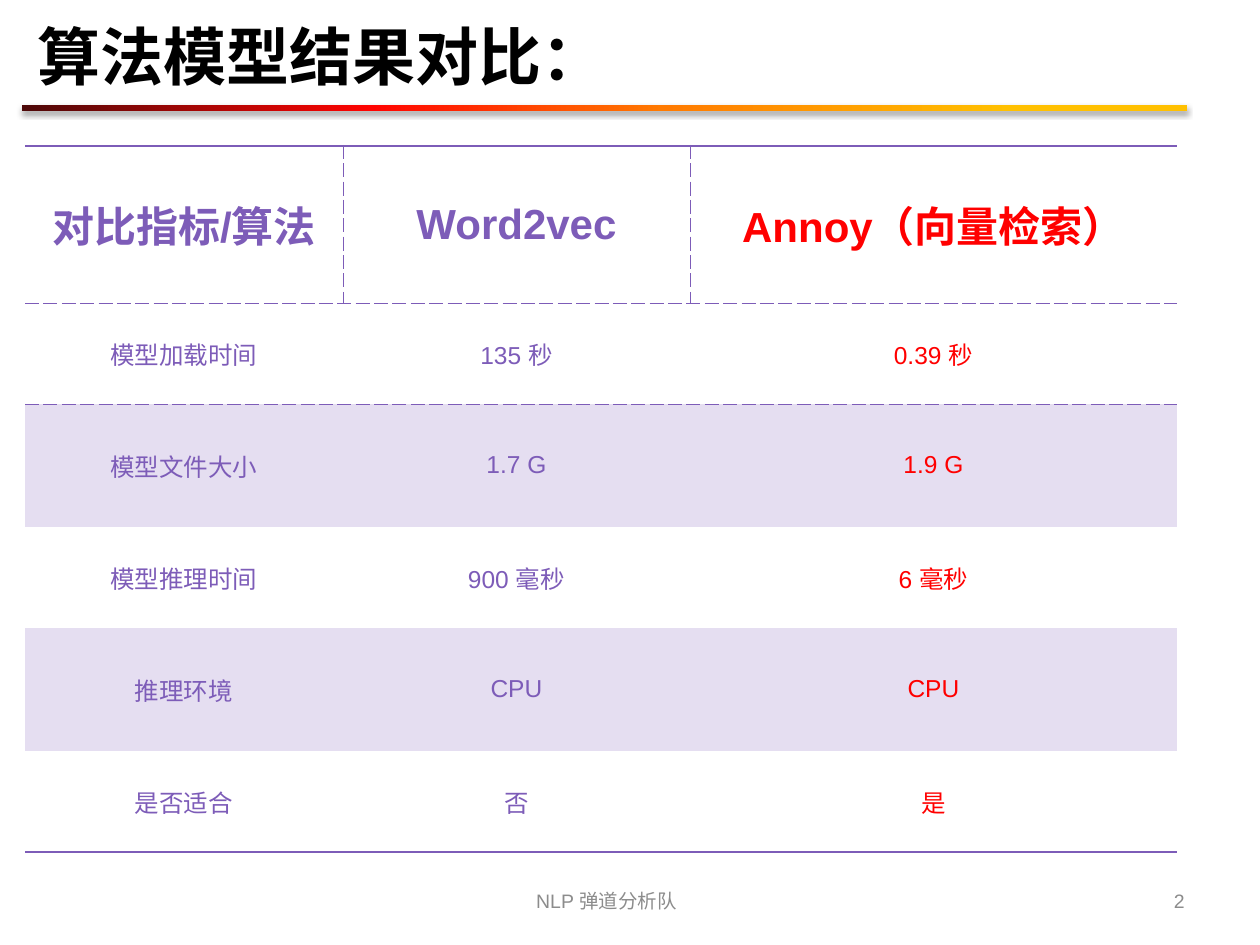
from dataclasses import dataclass

from lxml import etree
from pptx import Presentation
from pptx.dml.color import RGBColor
from pptx.enum.shapes import MSO_SHAPE
from pptx.enum.text import MSO_ANCHOR, PP_ALIGN
from pptx.oxml import parse_xml
from pptx.oxml.ns import nsdecls, qn
from pptx.util import Emu, Pt

EMU_PER_PX = 914400 / 126
PURPLE, RED, BLACK, GREY = "7D5CB8", "FF0000", "000000", "8C8C8C"
WHITE, LILAC = "FFFFFF", "E5DEF1"


@dataclass(frozen=True)
class Style:
    size: float
    color: str
    bold: bool = False
    font: str = "Arial"
    align: PP_ALIGN = PP_ALIGN.CENTER


@dataclass(frozen=True)
class Note:
    text: str
    left: int
    width: int
    align: PP_ALIGN


@dataclass(frozen=True)
class Row:
    height: int
    texts: tuple[str, str, str]
    label_font: str = "Arial"


def px(value: float) -> Emu:
    return Emu(round(value * EMU_PER_PX))


def rgb(value: str) -> RGBColor:
    return RGBColor.from_string(value)


def write(frame, text: str, style: Style) -> None:
    paragraph = frame.paragraphs[0]
    paragraph.alignment = style.align
    run = paragraph.add_run()
    run.text = text
    run.font.size = Pt(style.size)
    run.font.name = style.font
    run.font.bold = style.bold
    run.font.color.rgb = rgb(style.color)


def set_borders(cell, borders: dict[str, tuple[float, str]]) -> None:
    properties = cell._tc.get_or_add_tcPr()
    sides = [side for side in "LRTB" if side in borders]
    for index, side in enumerate(sides):
        width, dash = borders[side]
        properties.insert(index, parse_xml(
            f'<a:ln{side} {nsdecls("a")} w="{Pt(width)}">'
            f'<a:solidFill><a:srgbClr val="{PURPLE}"/></a:solidFill>'
            f'<a:prstDash val="{dash}"/></a:ln{side}>'))


def add_title(slide, text: str) -> None:
    title = slide.shapes.title
    title.left, title.top, title.width, title.height = px(25), px(5), px(1207), px(100)
    title.text_frame.vertical_anchor = MSO_ANCHOR.MIDDLE
    write(title.text_frame, text, Style(36, BLACK, True, align=PP_ALIGN.LEFT))


def add_title_bar(slide, stops: dict[int, str]) -> None:
    bar = slide.shapes.add_shape(MSO_SHAPE.RECTANGLE, px(22), px(105), px(1165), px(6))
    bar.line.fill.background()
    bar.fill.gradient()
    gradient = bar._element.spPr.find(qn("a:gradFill"))
    stop_list = gradient.find(qn("a:gsLst"))
    for stop in list(stop_list):
        stop_list.remove(stop)
    for position, color in stops.items():
        stop = etree.SubElement(stop_list, qn("a:gs"), pos=str(position * 1000))
        etree.SubElement(stop, qn("a:srgbClr"), val=color)
    gradient.find(qn("a:lin")).set("ang", str(180 * 60000))
    bar._element.spPr.append(parse_xml(
        f'<a:effectLst {nsdecls("a")}>'
        f'<a:outerShdw blurRad="{Pt(3.1)}" dist="{Pt(1.8)}" dir="5400000" rotWithShape="0">'
        f'<a:srgbClr val="{BLACK}"><a:alpha val="35000"/></a:srgbClr>'
        '</a:outerShdw></a:effectLst>'))


def add_note(slide, note: Note) -> None:
    box = slide.shapes.add_textbox(px(note.left), px(876), px(note.width), px(50))
    box.text_frame.word_wrap = True
    box.text_frame.vertical_anchor = MSO_ANCHOR.MIDDLE
    write(box.text_frame, note.text, Style(11.1, GREY, align=note.align))


def add_comparison(slide, rows: list[Row], widths: list[int]) -> None:
    frame = slide.shapes.add_table(
        len(rows), len(widths), px(25), px(146),
        px(sum(widths)), px(sum(row.height for row in rows)))
    table = frame.table
    table.first_row = table.horz_banding = False
    table._tbl.tblPr.find(qn("a:tableStyleId")).text = "{2D5ABB26-0587-4C30-8999-92F81FD0307C}"
    for column, width in zip(table.columns, widths):
        column.width = px(width)
    solid, dashed = (1.5, "solid"), (0.5, "dash")
    last_row, last_column = len(rows) - 1, len(widths) - 1
    for r, row in enumerate(rows):
        table.rows[r].height = px(row.height)
        for c, text in enumerate(row.texts):
            cell = table.cell(r, c)
            cell.vertical_anchor = MSO_ANCHOR.MIDDLE
            cell.fill.solid()
            cell.fill.fore_color.rgb = rgb(LILAC if r in (2, 4) else WHITE)
            color = RED if c == last_column else PURPLE
            font = row.label_font if c == 0 else "Arial"
            write(cell.text_frame, text, Style(24 if r == 0 else 14, color, r == 0, font))
            borders = {}
            if r == 0:
                borders = {"T": solid, "B": dashed}
                if c > 0:
                    borders["L"] = dashed
                if c < last_column:
                    borders["R"] = dashed
            elif r == 1:
                borders = {"T": dashed}
            elif r == last_row:
                borders = {"B": solid}
            set_borders(cell, borders)


ROWS = [
    Row(157, ("对比指标/算法", "Word2vec", "Annoy（向量检索）")),
    Row(101, ("模型加载时间", "135 秒", "0.39 秒")),
    Row(123, ("模型文件大小", "1.7 G", "1.9 G")),
    Row(101, ("模型推理时间", "900 毫秒", "6 毫秒"), "Open Sans"),
    Row(123, ("推理环境", "CPU", "CPU"), "Open Sans"),
    Row(101, ("是否适合", "否", "是"), "Open Sans"),
]
NOTES = [
    Note("NLP 弹道分析队", 384, 445, PP_ALIGN.CENTER),
    Note("2", 903, 294, PP_ALIGN.RIGHT),
]

presentation = Presentation()
presentation.slide_width, presentation.slide_height = px(1260), px(945)
slide = presentation.slides.add_slide(presentation.slide_layouts[5])
add_title_bar(slide, {15: "FFC000", 45: "FF7A00", 70: "FF0300", 100: "4D0808"})
add_title(slide, "算法模型结果对比：")
for note in NOTES:
    add_note(slide, note)
add_comparison(slide, ROWS, [318, 347, 487])
presentation.save("out.pptx")
